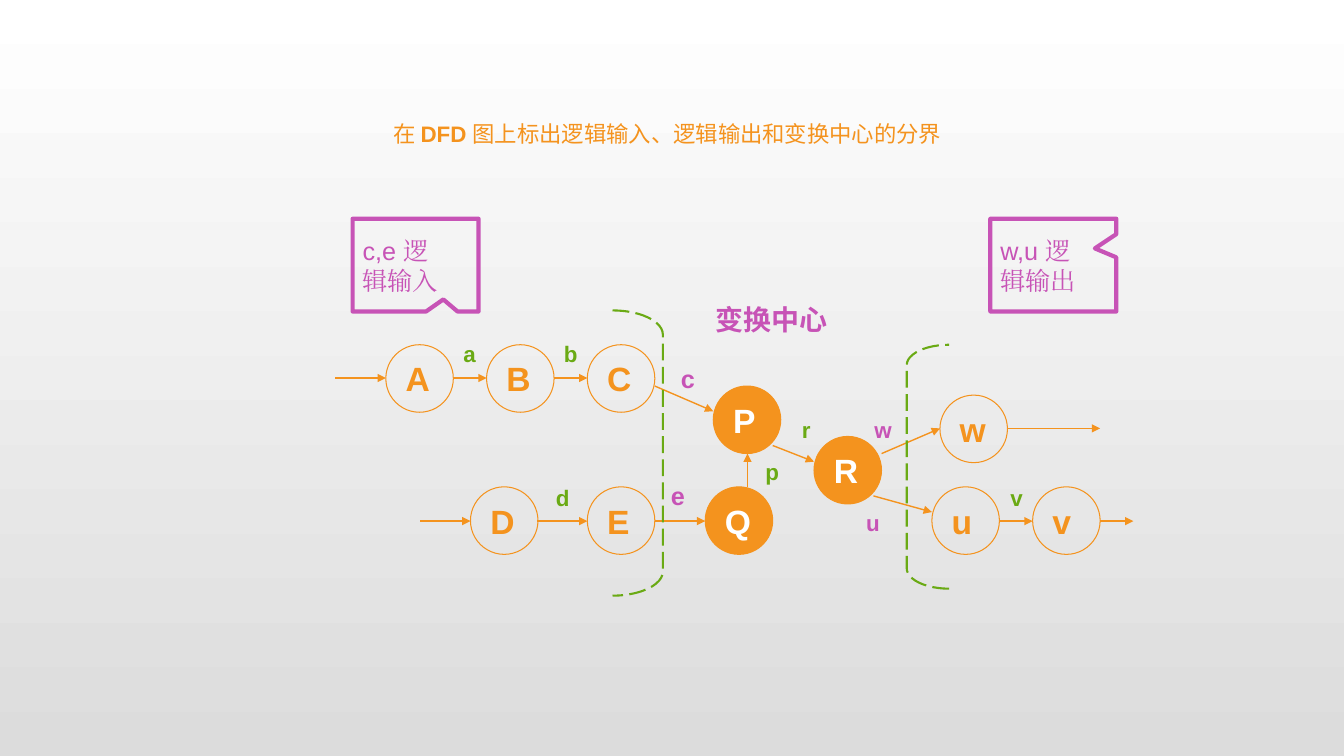
from lxml import etree
from pptx import Presentation
from pptx.dml.color import RGBColor
from pptx.enum.dml import MSO_LINE
from pptx.enum.shapes import MSO_CONNECTOR, MSO_SHAPE
from pptx.enum.text import MSO_ANCHOR, MSO_AUTO_SIZE, PP_ALIGN
from pptx.oxml.ns import qn
from pptx.util import Inches, Pt

STRAIGHT = MSO_CONNECTOR.STRAIGHT
OVAL = MSO_SHAPE.OVAL
CALLOUT = MSO_SHAPE.RECTANGULAR_CALLOUT
LEFT_ARC, RIGHT_ARC = MSO_SHAPE.LEFT_BRACKET, MSO_SHAPE.RIGHT_BRACKET
DASH = MSO_LINE.LONG_DASH
LEFT, CENTER = PP_ALIGN.LEFT, PP_ALIGN.CENTER
TOP, MIDDLE = MSO_ANCHOR.TOP, MSO_ANCHOR.MIDDLE
FIT = MSO_AUTO_SIZE.SHAPE_TO_FIT_TEXT

COLORS = {"orange": "F4931E", "green": "6AAA14", "pink": "C753B6",
          "white": "FFFFFF", "gray": "DCDCDC"}
LATIN, HAN, SERIF = "Arial", "Noto Sans CJK SC", "Times New Roman"
SIZE = 0.67   # circle diameter


def rgb(name):
    return RGBColor.from_string(COLORS[name])


class Board:
    def __init__(self, slide):
        self.slide = slide

    def ground(self, first, last):
        fill = self.slide.background.fill
        fill.gradient()
        fill.gradient_angle = 270
        for stop, name in zip(fill.gradient_stops, (first, last)):
            stop.color.rgb = rgb(name)

    def letter(self, shape, lines, size, color, align=LEFT, anchor=MIDDLE, wrap=False):
        """Each line is a list of (text, font, bold) runs."""
        frame = shape.text_frame
        frame.word_wrap = wrap
        frame.vertical_anchor = anchor
        for i, line in enumerate(lines):
            para = frame.add_paragraph() if i else frame.paragraphs[0]
            para.alignment = align
            for text, face, bold in line:
                run = para.add_run()
                run.text = text
                font = run.font
                font.size, font.bold, font.name = Pt(size), bold, face
                font.color.rgb = rgb(color)
                east = etree.SubElement(run._r.get_or_add_rPr(), qn("a:ea"))
                east.set("typeface", face)

    def text(self, box, lines, size, color, **style):
        shape = self.slide.shapes.add_textbox(*map(Inches, box))
        self.letter(shape, lines, size, color, **style)
        return shape

    def label(self, text, left, top, wide, size, color):
        shape = self.text((left, top, wide, 0.37), [[(text, LATIN, True)]],
                          size, color, anchor=TOP)
        shape.text_frame.auto_size = FIT

    def shape(self, kind, box, line, width, fill=None):
        shape = self.slide.shapes.add_shape(kind, *map(Inches, box))
        shape.shadow.inherit = False
        if fill:
            shape.fill.solid()
            shape.fill.fore_color.rgb = rgb(fill)
        else:
            shape.fill.background()
        shape.line.color.rgb = rgb(line)
        shape.line.width = Pt(width)
        return shape

    def node(self, text, left, top, solid):
        shape = self.shape(OVAL, (left, top, SIZE, SIZE), "orange", 0.75,
                           "orange" if solid else None)
        self.letter(shape, [[(text, LATIN, True)]], 24,
                    "white" if solid else "orange")

    def arrow(self, *ends):
        line = self.slide.shapes.add_connector(STRAIGHT, *map(Inches, ends))
        line.line.color.rgb = rgb("orange")
        line.line.width = Pt(1)
        props = line._element.spPr
        tail = etree.SubElement(props.find(qn("a:ln")), qn("a:tailEnd"))
        tail.set("type", "triangle")
        etree.SubElement(props, qn("a:effectLst"))

    def border(self, kind, box):
        shape = self.shape(kind, box, "green", 1.5)
        shape.adjustments[0] = 0.48
        shape.line.dash_style = DASH

    def callout(self, left, tip, flows, head, rest):
        shape = self.shape(CALLOUT, (left, 2.17, 1.25, 0.92), "pink", 3)
        for i, value in enumerate(tip):
            shape.adjustments[i] = value
        lines = [[(flows, LATIN, False), (head, SERIF, False)],
                 [(rest, SERIF, False)]]
        self.letter(shape, lines, 18, "pink", wrap=True)


def main():
    deck = Presentation()
    deck.slide_width, deck.slide_height = Inches(13.34), Inches(7.5)
    board = Board(deck.slides.add_slide(deck.slide_layouts[6]))
    board.ground("white", "gray")

    # Title
    board.text((3.5, 1.08, 6.25, 0.5),
               [[("在 ", HAN, False), ("DFD ", LATIN, True),
                 ("图上标出逻辑输入、逻辑输出和变换中心的分界", HAN, False)]],
               16, "orange", align=CENTER)

    # Processes; those of the transform centre are solid
    nodes = [("A", 3.83, 3.42), ("B", 4.83, 3.42), ("C", 5.83, 3.42),
             ("D", 4.67, 4.83), ("E", 5.83, 4.83),
             ("P", 7.08, 3.83), ("Q", 7, 4.83), ("R", 8.08, 4.33),
             ("w", 9.33, 3.92), ("u", 9.25, 4.83), ("v", 10.25, 4.83)]
    for name, left, top in nodes:
        board.node(name, left, top, name in "PQR")

    # Level flows: row height, then start and end of each arrow
    rows = {3.75: [(3.33, 3.83), (4.5, 4.83), (5.5, 5.83)],
            4.25: [(10, 10.92)],
            5.17: [(4.17, 4.67), (5.33, 5.83), (6.5, 7),
                   (9.92, 10.25), (10.92, 11.25)]}
    for y, spans in rows.items():
        for start, end in spans:
            board.arrow(start, y, end, y)

    # Flows between rows
    for ends in [(6.5, 3.83, 7.08, 4.08), (7.67, 4.42, 8.08, 4.58),
                 (7.42, 4.83, 7.42, 4.5), (8.75, 4.5, 9.33, 4.25),
                 (8.67, 4.92, 9.25, 5.08)]:
        board.arrow(*ends)

    # Flow names
    for name, left, top, wide in [
            ("a", 4.5, 3.33, 0.32), ("b", 5.5, 3.33, 0.33),
            ("d", 5.42, 4.75, 0.33), ("r", 7.86, 4.08, 0.28),
            ("p", 7.5, 4.5, 0.33), ("v", 9.93, 4.75, 0.32)]:
        board.label(name, left, top, wide, 16, "green")
    for name, left, top, wide, size in [
            ("c", 6.66, 3.56, 0.34, 18), ("e", 6.56, 4.72, 0.34, 18),
            ("w", 8.58, 4.08, 0.37, 16), ("u", 8.5, 5, 0.33, 16)]:
        board.label(name, left, top, wide, size, "pink")

    # Borders of the transform centre
    board.border(RIGHT_ARC, (6.08, 3.08, 0.5, 2.83))
    board.border(LEFT_ARC, (9, 3.42, 0.42, 2.42))
    board.text((7, 2.92, 1.67, 0.5), [[("变换中心", HAN, True)]], 20, "pink")

    # Callouts
    board.callout(3.5, (0.22, 0.37), "c,e ", "逻", "辑输入")
    board.callout(9.83, (0.33, -0.18), "w,u ", "逻", "辑输出")

    deck.save("out.pptx")


if __name__ == "__main__":
    main()
